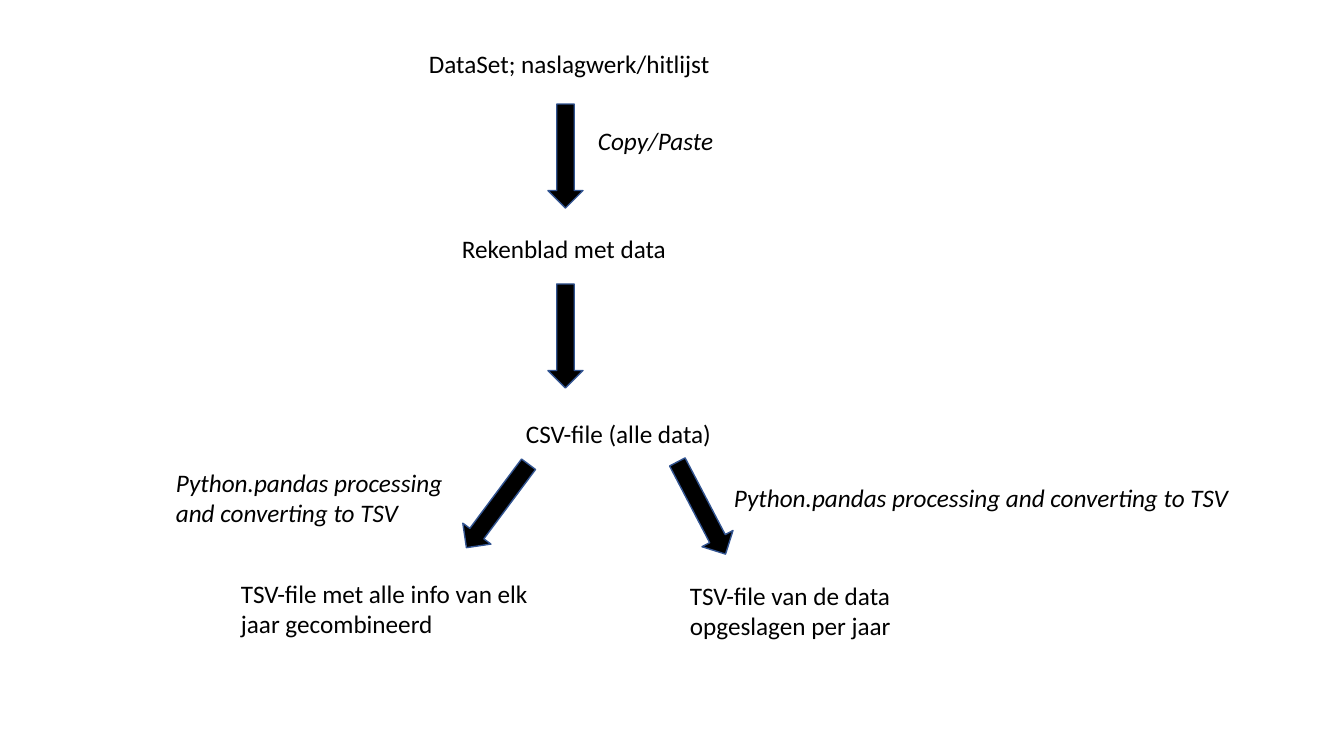
from pptx import Presentation
from pptx.dml.color import RGBColor
from pptx.enum.shapes import MSO_SHAPE
from pptx.enum.text import MSO_AUTO_SIZE
from pptx.util import Pt

DOWN = MSO_SHAPE.DOWN_ARROW
GROW = MSO_AUTO_SIZE.SHAPE_TO_FIT_TEXT
SCALE = 914400 / 100.8
COLORS = {"ink": "000000", "edge": "325491"}


def emu(*sizes):
    return [round(size * SCALE) for size in sizes]


def color(name):
    return RGBColor.from_string(COLORS[name])


class Flow:
    """Style and current slide of the data flow."""
    font = {"name": "Calibri", "size": Pt(18)}
    arrow_size = (35, 104)

    def __init__(self, slide):
        self.shapes = slide.shapes

    def label(self, text, box, wrap=True, italic=False):
        frame = self.shapes.add_textbox(*emu(*box)).text_frame
        for key, value in {"word_wrap": wrap, "auto_size": GROW}.items():
            setattr(frame, key, value)
        run = frame.paragraphs[0].add_run()
        run.text = text
        for key, value in {**self.font, "italic": italic}.items():
            setattr(run.font, key, value)
        run.font.color.rgb = color("ink")

    def arrow(self, left, top, turn=0):
        shape = self.shapes.add_shape(DOWN, *emu(left, top, *self.arrow_size))
        shape.rotation = turn
        shape.shadow.inherit = False
        shape.fill.solid()
        shape.fill.fore_color.rgb = color("ink")
        shape.line.color.rgb = color("edge")
        shape.line.width = Pt(1)


deck = Presentation()
deck.slide_width, deck.slide_height = emu(1344, 756)
flow = Flow(deck.slides.add_slide(deck.slide_layouts[6]))

# Files, from source to result
flow.label("DataSet; naslagwerk/hitlijst", (419, 43, 598, 40))
flow.label("Rekenblad met data", (452, 228, 229, 40), wrap=False)
flow.label("CSV-file (alle data)", (516, 413, 210, 40), wrap=False)
flow.label("TSV-file met alle info van elk jaar gecombineerd",
           (231, 573, 310, 72))
flow.label("TSV-file van de data opgeslagen per jaar", (680, 575, 284, 72))

# Steps between the files
convert = "Python.pandas processing and converting to TSV"
flow.label("Copy/Paste", (588, 120, 346, 40), italic=True)
flow.label(convert, (724, 477, 522, 40), wrap=False, italic=True)
flow.label(convert, (166, 462, 310, 72), italic=True)

# Arrows: two straight down, then a fork
for place in [(548, 104), (548, 284), (480, 454, 36.7), (684, 456, 332.4)]:
    flow.arrow(*place)

deck.save("out.pptx")
